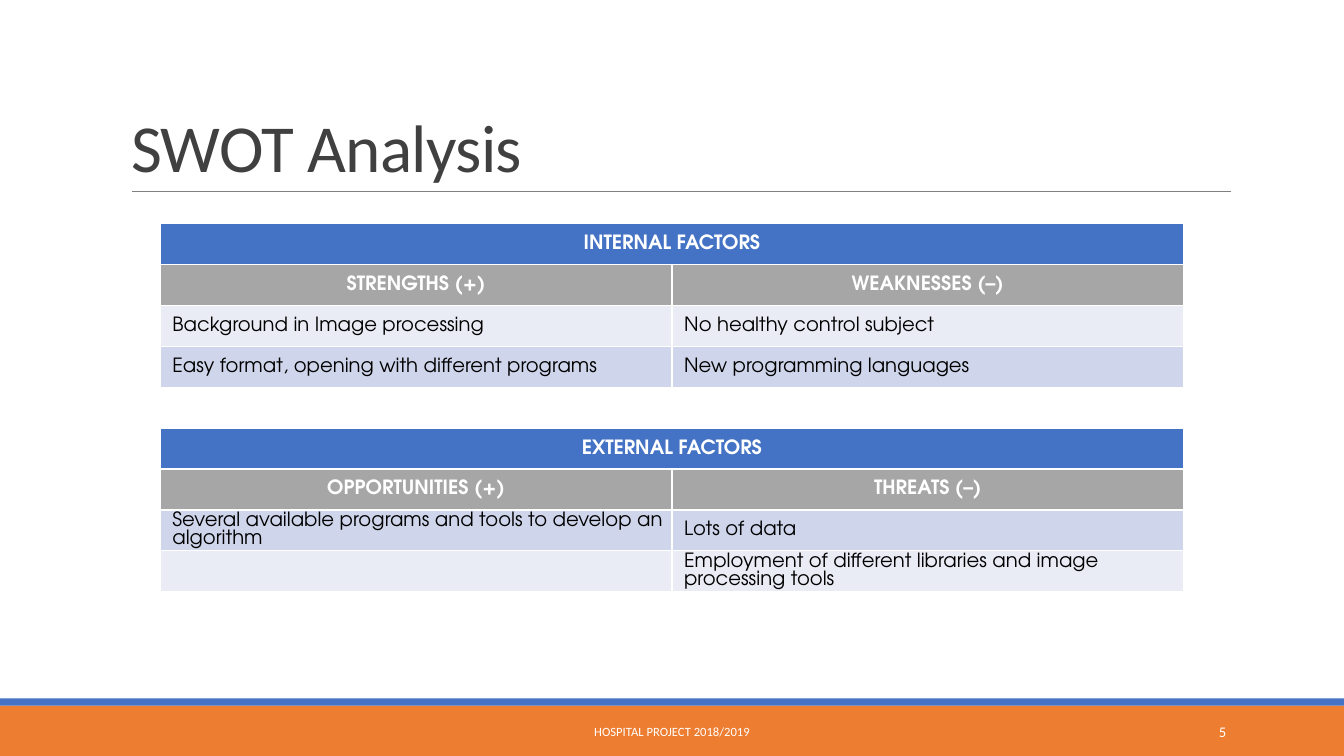
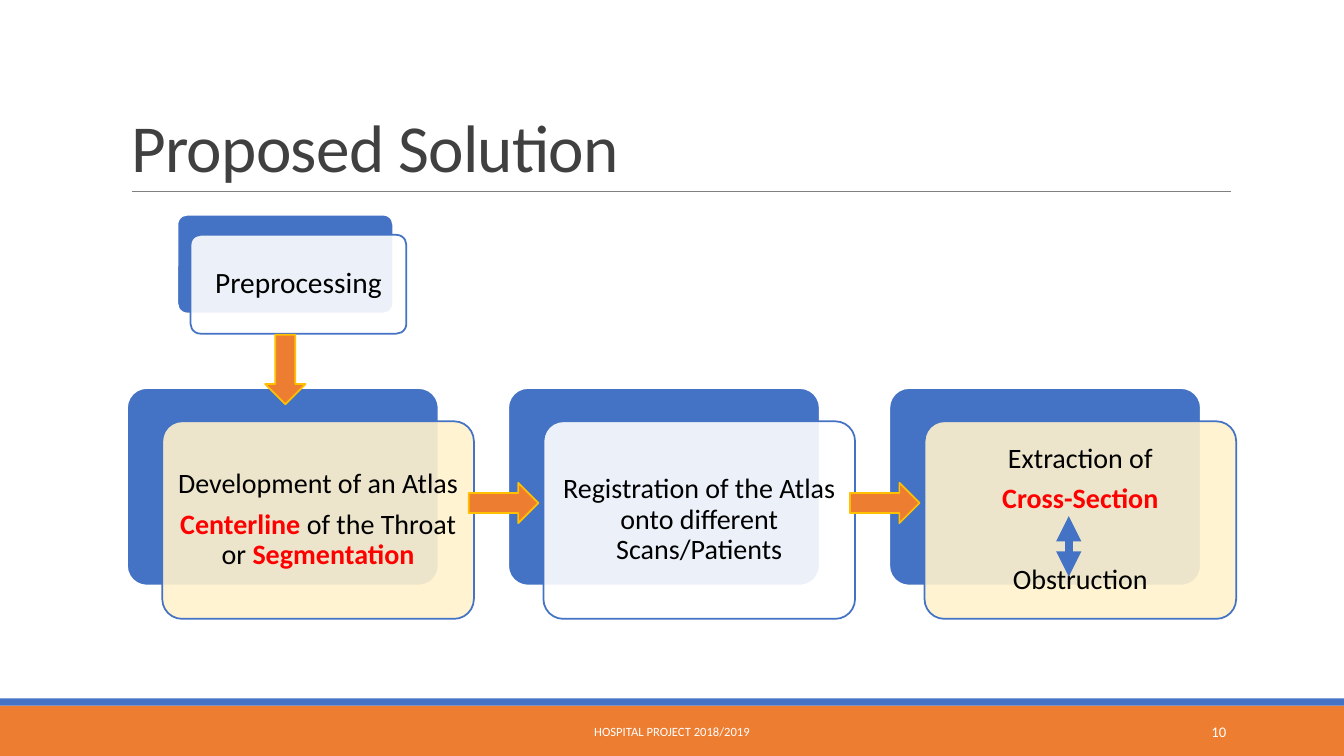
from typing import NamedTuple

from lxml.etree import SubElement
from pptx import Presentation
from pptx.dml.color import RGBColor
from pptx.enum.shapes import MSO_CONNECTOR as Connector, MSO_SHAPE as Preset
from pptx.enum.text import MSO_ANCHOR as Anchor, PP_ALIGN as Align
from pptx.oxml.ns import qn
from pptx.util import Inches, Pt

WHITE = RGBColor(0xFF, 0xFF, 0xFF)
BLACK = RGBColor(0x00, 0x00, 0x00)
RED = RGBColor(0xFF, 0x00, 0x00)
BLUE = RGBColor(0x44, 0x72, 0xC4)
ORANGE = RGBColor(0xED, 0x7D, 0x31)
GOLD = RGBColor(0xFF, 0xC0, 0x00)
CREAM = RGBColor(0xFF, 0xF2, 0xCC)
TITLE_GRAY = RGBColor(0x40, 0x40, 0x40)
RULE_GRAY = RGBColor(0x80, 0x80, 0x80)
HEADER_GRAY = RGBColor(0xA6, 0xA6, 0xA6)
LIGHT_BAND = RGBColor(0xE9, 0xEB, 0xF5)
DARK_BAND = RGBColor(0xCF, 0xD5, 0xEA)

TEXT_FONT = "Calibri"
TABLE_FONT = "TeX Gyre Adventor"
FOOTER = "HOSPITAL PROJECT 2018/2019"


class Box(NamedTuple):
    left: float
    top: float
    width: float
    height: float

    def inches(self):
        return [Inches(length) for length in self]


SLIDE = Box(0, 0, 13.33, 7.5)
TITLE_BOX = Box(1.2, 0.31, 11, 1.59)
TABLE_BOX = Box(1.59, 2.22, 10.15, 3.65)
FLOW_BOX = Box(1.26, 2.13, 11, 4.01)

# Each block: heading, column heads, rows, band colours
SWOT_BLOCKS = [
    ("INTERNAL FACTORS", ("STRENGTHS (+)", "WEAKNESSES (–)"),
     [("Background in Image processing", "No healthy control subject"),
      ("Easy format, opening with different programs", "New programming languages")],
     (LIGHT_BAND, DARK_BAND)),
    ("EXTERNAL FACTORS", ("OPPORTUNITIES (+)", "THREATS (–)"),
     [("Several available programs and tools to develop an algorithm", "Lots of data"),
      ("", "Employment of different libraries and image processing tools")],
     (DARK_BAND, LIGHT_BAND)),
]

# Each step: fill, paragraphs of (text, highlighted) runs
STEPS = [
    (CREAM, [[("Development of an Atlas", False)],
             [("Centerline ", True), ("of the Throat or ", False), ("Segmentation", True)]]),
    (WHITE, [[("Registration of the Atlas onto different Scans/Patients", False)]]),
    (CREAM, [[("Extraction of", False)], [("Cross-Section", True)], [("Obstruction", False)]]),
]


def set_font(font, name, size, color, bold=False):
    font.name, font.size, font.bold = name, Pt(size), bold
    font.color.rgb = color


def add_block(slide, preset, box, fill, line=None):
    shape = slide.shapes.add_shape(preset, *box.inches())
    shape.shadow.inherit = False
    shape.fill.solid()
    shape.fill.fore_color.rgb = fill
    if line is None:
        shape.line.fill.background()
    else:
        shape.line.color.rgb = line
        shape.line.width = Pt(1.25)
    return shape


def add_line(slide, start, end, color, width):
    line = slide.shapes.add_connector(
        Connector.STRAIGHT, *(Inches(length) for length in (*start, *end)))
    line.line.color.rgb = color
    line.line.width = Pt(width)
    SubElement(line._element.spPr, qn("a:effectLst"))
    return line


def add_label(slide, box, text, size, alignment):
    frame = slide.shapes.add_textbox(*box.inches()).text_frame
    frame.word_wrap = True
    frame.vertical_anchor = Anchor.MIDDLE
    paragraph = frame.paragraphs[0]
    paragraph.text, paragraph.alignment = text, alignment
    set_font(paragraph.font, TEXT_FONT, size, WHITE)


def add_base_slide(presentation, title, number):
    """Title, rule, bands and footer shared by all slides."""
    slide = presentation.slides.add_slide(presentation.slide_layouts[5])

    # Title
    shape = slide.shapes.title
    shape.left, shape.top, shape.width, shape.height = TITLE_BOX.inches()
    shape.text_frame.vertical_anchor = Anchor.BOTTOM
    paragraph = shape.text_frame.paragraphs[0]
    paragraph.alignment, paragraph.line_spacing = Align.LEFT, 0.85
    run = paragraph.add_run()
    run.text = title
    set_font(run.font, TEXT_FONT, 48, TITLE_GRAY)
    run._r.get_or_add_rPr().set("spc", "-50")
    add_line(slide, (1.31, 1.9), (12.21, 1.9), RULE_GRAY, 0.5)

    # Bands and footer
    add_block(slide, Preset.RECTANGLE, Box(0, 7, SLIDE.width, 0.5), ORANGE)
    add_block(slide, Preset.RECTANGLE, Box(0, 6.93, SLIDE.width, 0.07), BLUE)
    add_label(slide, Box(4.03, 7.06, 5.27, 0.4), FOOTER, 9, Align.CENTER)
    add_label(slide, Box(10.83, 7.06, 1.43, 0.4), str(number), 10.5, Align.RIGHT)
    return slide


def fill_cell(cell, text, fill, heading=False):
    cell.fill.solid()
    cell.fill.fore_color.rgb = fill
    cell.vertical_anchor = Anchor.MIDDLE
    cell.margin_left = Inches(0 if heading else 0.12)
    cell.margin_right = cell.margin_top = cell.margin_bottom = 0
    paragraph = cell.text_frame.paragraphs[0]
    paragraph.text = text
    paragraph.alignment = Align.CENTER if heading else Align.LEFT
    paragraph.line_spacing = Pt(13)
    set_font(paragraph.font, TABLE_FONT, 14, WHITE if heading else BLACK, heading)


def add_swot_table(slide, box):
    block_rows = 4
    row_count = len(SWOT_BLOCKS) * (block_rows + 1) - 1
    table = slide.shapes.add_table(row_count, 2, *box.inches()).table
    table.horz_banding = False
    for row in table.rows:
        row.height = Inches(box.height / row_count)

    for index, (heading, heads, rows, bands) in enumerate(SWOT_BLOCKS):
        first = index * (block_rows + 1)
        # Empty row between blocks
        if index:
            for column in range(2):
                fill_cell(table.cell(first - 1, column), "", WHITE)
        # Merged heading
        table.cell(first, 0).merge(table.cell(first, 1))
        fill_cell(table.cell(first, 0), heading, BLUE, True)
        # Column heads and entries
        for column in range(2):
            fill_cell(table.cell(first + 1, column), heads[column], HEADER_GRAY, True)
            for offset, (entries, band) in enumerate(zip(rows, bands), start=2):
                fill_cell(table.cell(first + offset, column), entries[column], band)


def add_card(slide, box, shift, fill, paragraphs, size):
    """A blue card with a nearly opaque text card in front of it."""
    front_box = Box(box.left + shift[0], box.top + shift[1], box.width, box.height)
    back = add_block(slide, Preset.ROUNDED_RECTANGLE, box, BLUE, WHITE)
    front = add_block(slide, Preset.ROUNDED_RECTANGLE, front_box, fill, BLUE)
    back.adjustments[0] = front.adjustments[0] = 0.1
    color = front._element.spPr.find(qn("a:solidFill"))[0]
    SubElement(color, qn("a:alpha"), val="90000")

    frame = front.text_frame
    frame.word_wrap = True
    frame.vertical_anchor = Anchor.MIDDLE
    frame.margin_left = frame.margin_right = Inches(0.08)
    frame.margin_top = frame.margin_bottom = Inches(0.08)
    for index, runs in enumerate(paragraphs):
        paragraph = frame.add_paragraph() if index else frame.paragraphs[0]
        paragraph.alignment = Align.CENTER
        paragraph.line_spacing, paragraph.space_after = 0.9, Pt(7)
        for text, highlighted in runs:
            run = paragraph.add_run()
            run.text = text
            set_font(run.font, TEXT_FONT, size, RED if highlighted else BLACK, highlighted)
    return frame


def add_flow(slide, box):
    column_step, card_width, card_height = 3.78, 3.09, 1.96
    row_top = box.top + 1.72

    # Main steps
    for index, (fill, paragraphs) in enumerate(STEPS):
        card_box = Box(box.left + index * column_step, row_top, card_width, card_height)
        frame = add_card(slide, card_box, (0.35, 0.33), fill, paragraphs, 20)
    # Room for the double arrow in the last step
    frame.paragraphs[1].space_after = Pt(36)

    # Arrows between steps
    for index in range(len(STEPS) - 1):
        arrow_box = Box(box.left + 3.39 + index * column_step, row_top + 0.94, 0.69, 0.4)
        add_block(slide, Preset.RIGHT_ARROW, arrow_box, ORANGE, GOLD)

    # Double arrow between cross-section and obstruction
    center = box.left + 9.34
    link = add_line(slide, (center, row_top + 1.87), (center, row_top + 1.27), BLUE, 6)
    for end in ("a:headEnd", "a:tailEnd"):
        SubElement(link.line._get_or_add_ln(), qn(end), type="triangle")

    # Preprocessing and its arrow
    add_card(slide, Box(box.left + 0.5, box.top, 2.14, 0.98), (0.13, 0.2), WHITE,
             [[("Preprocessing", False)]], 21)
    add_block(slide, Preset.DOWN_ARROW,
              Box(box.left + 1.37, box.top + 1.19, 0.4, 0.69), ORANGE, GOLD)


def main():
    presentation = Presentation()
    presentation.slide_width, presentation.slide_height = SLIDE.inches()[2:]
    add_swot_table(add_base_slide(presentation, "SWOT Analysis", 5), TABLE_BOX)
    add_flow(add_base_slide(presentation, "Proposed Solution", 10), FLOW_BOX)
    presentation.save("out.pptx")


if __name__ == "__main__":
    main()
